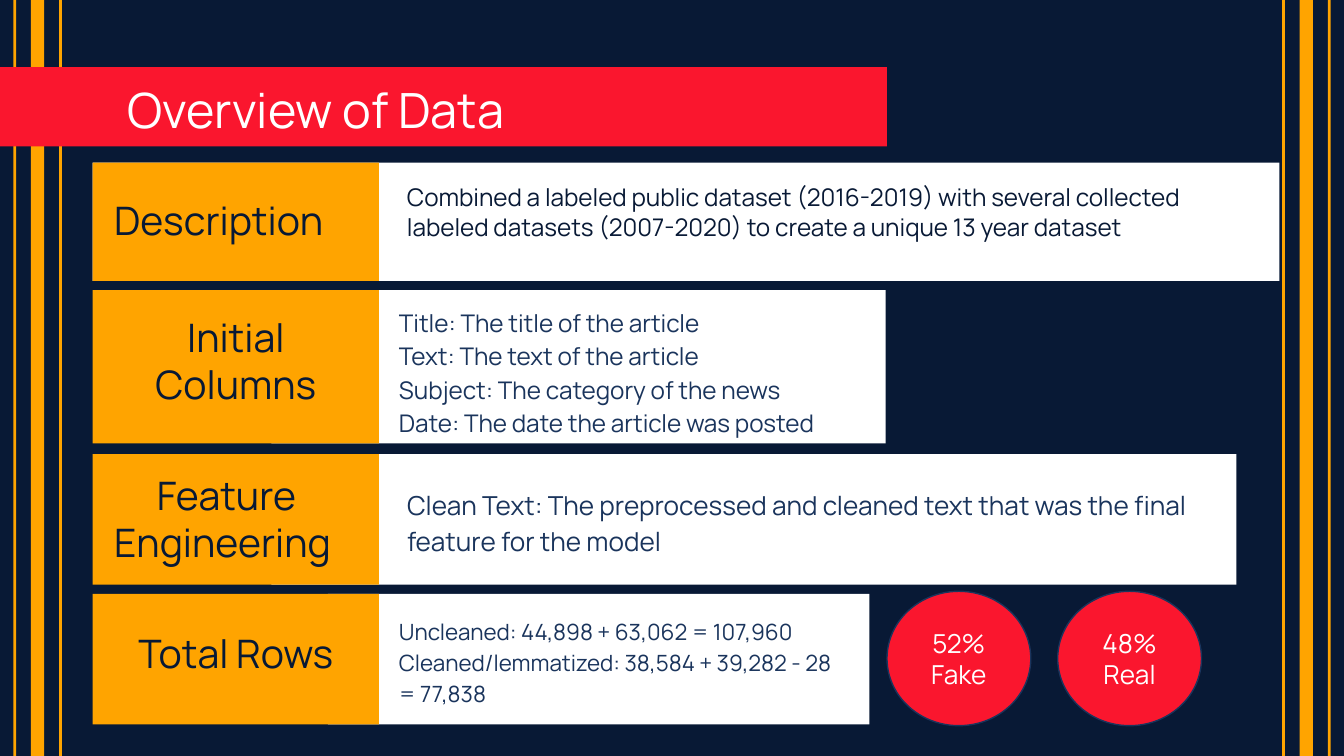
from pptx import Presentation
from pptx import util as u
from pptx.dml import color
from pptx.enum import shapes, text

COLUMNS, ROWS = 1000, 562.5
CELL = u.Inches(0.01)
FONT = "Manrope"
NAVY, BLUE, ORANGE, RED, WHITE = "081935", "1A345C", "FFA400", "FA162E", "FFFFFF"
LABEL_LEFT, LABEL_WIDTH = 69, 213
RECTANGLE, OVAL = shapes.MSO_SHAPE.RECTANGLE, shapes.MSO_SHAPE.OVAL

SECTIONS = [
    dict(top=121, height=88, panel=(69, 883), label="Description",
         label_box=(75, 136, 201, 67), align="LEFT",
         body_box=(293, 126, 650, 64), size=13, ink=NAVY, spacing=None,
         lines=["Combined a labeled public dataset (2016-2019) with several collected "
                "labeled datasets (2007-2020) to create a unique 13 year dataset"]),
    dict(top=442, height=97, panel=(244, 403), label="Total Rows",
         label_box=(75, 458, 201, 74), align="CENTER",
         body_box=(287, 447, 348, 85), size=12, ink=BLUE, spacing=1.15,
         lines=["Uncleaned: 44,898 + 63,062 = 107,960",
                "Cleaned/lemmatized: 38,584 + 39,282 - 28 = 77,838"]),
    dict(top=216, height=114, panel=(202, 457), label="Initial Columns",
         label_box=(75, 223, 201, 100), align="CENTER",
         body_box=(287, 216, 379, 114), size=13, ink=BLUE, spacing=1.15,
         lines=["Title: The title of the article",
                "Text: The text of the article",
                "Subject: The category of the news",
                "Date: The date the article was posted"]),
    dict(top=338, height=97, panel=(202, 718), label="Feature Engineering ",
         label_box=(62, 341, 213, 88), align="CENTER",
         body_box=(293, 351, 618, 77), size=14, ink=BLUE, spacing=1.15,
         lines=["Clean Text: The preprocessed and cleaned text that was the final "
                "feature for the model"]),
]


def rgb(value):
    """Turn a hex string into a colour."""
    return color.RGBColor.from_string(value)


def grid(box):
    """Turn left, top, width and height in grid cells into lengths."""
    return [u.Emu(cells * CELL) for cells in box]


def write(shape, lines, size=13, ink=NAVY, align="LEFT", anchor="TOP", spacing=None):
    """Fill a shape with formatted paragraphs."""
    frame = shape.text_frame
    frame.word_wrap = True
    frame.auto_size = text.MSO_AUTO_SIZE.NONE
    frame.vertical_anchor = getattr(text.MSO_ANCHOR, anchor)
    frame.margin_left = frame.margin_right = u.Inches(0.1)
    frame.margin_top = frame.margin_bottom = u.Inches(0.1)
    frame.text = "\n".join(lines)
    for paragraph in frame.paragraphs:
        paragraph.alignment = getattr(text.PP_ALIGN, align)
        paragraph.line_spacing = spacing
        font = paragraph.font
        font.name, font.size = FONT, u.Pt(size)
        font.color.rgb = rgb(ink)


def add_block(slide, box, fill, kind=RECTANGLE, line=None):
    """Add a flat filled shape."""
    shape = slide.shapes.add_shape(kind, *grid(box))
    shape.shadow.inherit = False
    shape.fill.solid()
    shape.fill.fore_color.rgb = rgb(fill)
    if line:
        shape.line.color.rgb = rgb(line)
        shape.line.width = u.Pt(0.75)
    else:
        shape.line.fill.background()
    return shape


def add_text(slide, box, lines, **style):
    """Add a text box."""
    write(slide.shapes.add_textbox(*grid(box)), lines, **style)


def add_stripes(slide):
    """Add the same three vertical stripes at both edges."""
    for edge in (0, 944):
        for left, width in ((10, 2), (23, 10), (44, 2)):
            add_block(slide, (edge + left, 0, width, ROWS), ORANGE)


def add_title(slide, words):
    """Add the banner and lift the title above it."""
    add_block(slide, (-3, 50, 663, 59), RED)
    title = slide.shapes.title
    title.left, title.top, title.width, title.height = grid((85, 49, 829, 64))
    write(title, [words], size=26, ink=WHITE, anchor="MIDDLE")
    title.element.getparent().append(title.element)


def add_section(slide, section):
    """Add a white panel with an orange label and its body text."""
    top, height = section["top"], section["height"]
    left, width = section["panel"]
    add_block(slide, (left, top, width, height), WHITE)
    add_block(slide, (LABEL_LEFT, top, LABEL_WIDTH, height), ORANGE)
    add_text(slide, section["label_box"], [section["label"]], size=21,
             align=section["align"])
    add_text(slide, section["body_box"], section["lines"], size=section["size"],
             ink=section["ink"], spacing=section["spacing"])


def add_shares(slide, shares):
    """Add a row of circles with the share of each class."""
    for index, share in enumerate(shares):
        circle = add_block(slide, (660 + 127 * index, 440, 107, 100), RED, OVAL, BLUE)
        write(circle, [share], size=14, ink=WHITE, align="CENTER", anchor="MIDDLE")


def main():
    """Build and save the slide."""
    presentation = Presentation()
    presentation.slide_width = u.Emu(COLUMNS * CELL)
    presentation.slide_height = u.Emu(ROWS * CELL)
    slide = presentation.slides.add_slide(presentation.slide_layouts[5])
    slide.background.fill.solid()
    slide.background.fill.fore_color.rgb = rgb(NAVY)
    add_stripes(slide)
    add_title(slide, "Overview of Data")
    for section in SECTIONS:
        add_section(slide, section)
    add_shares(slide, ["52% Fake", "48% Real"])
    presentation.save("out.pptx")


if __name__ == "__main__":
    main()
